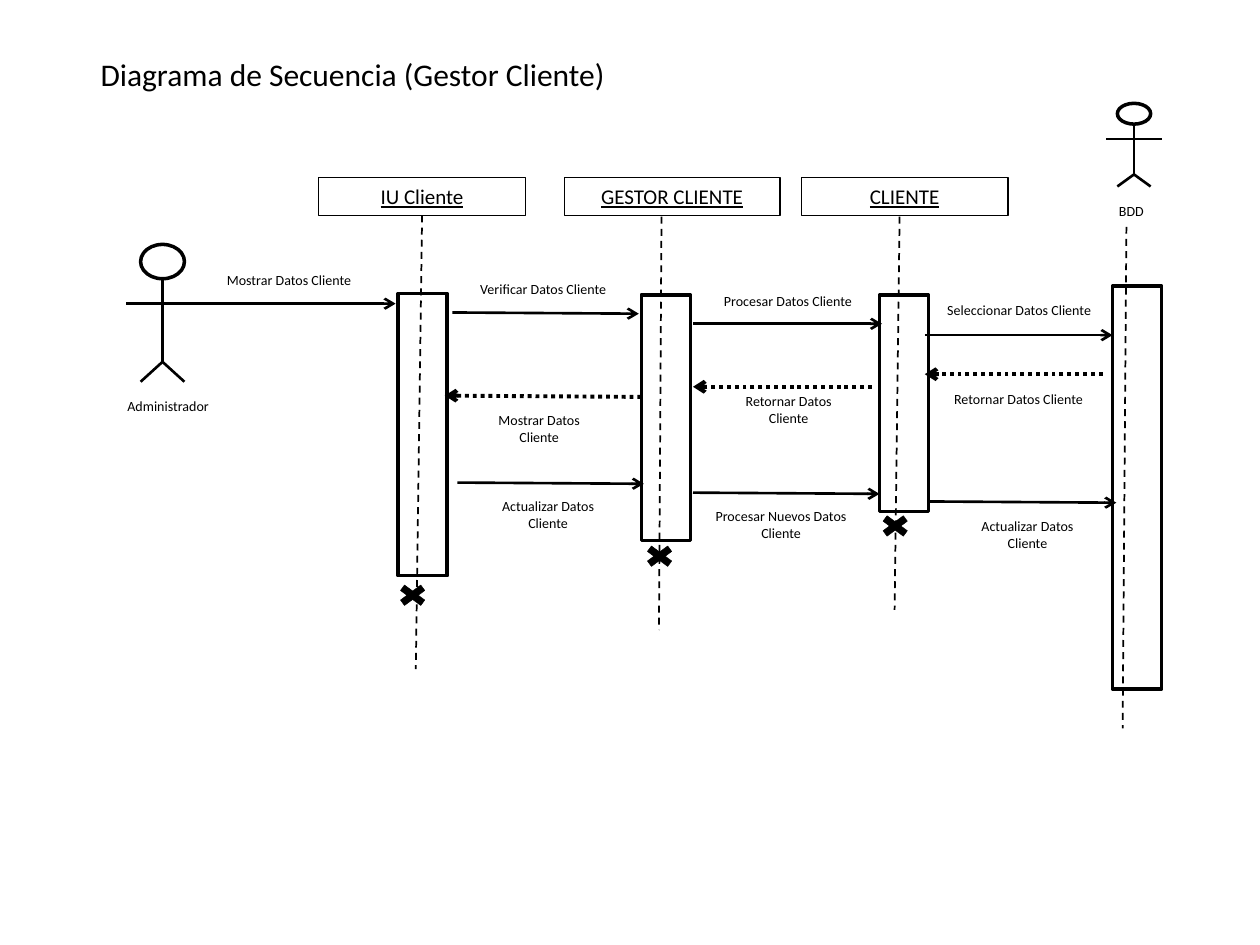
from dataclasses import dataclass
from typing import Optional

from lxml import etree
from pptx import Presentation, util as u
from pptx.dml.color import RGBColor
from pptx.enum import dml, shapes, text
from pptx.oxml.ns import qn

# Grid: one column or row is a tenth of an inch
COLUMNS, ROWS = 100, 75
CELL = u.Inches(0.1)


@dataclass(frozen=True)
class Theme:
    font: str = "Calibri"
    ink: RGBColor = RGBColor(0, 0, 0)
    paper: RGBColor = RGBColor(255, 255, 255)
    title: float = 18
    heading: float = 12
    label: float = 8
    hairline: float = 0.25
    frame: float = 0.75
    lifeline: float = 1
    stroke: float = 1.5
    outline: float = 2
    reply: float = 2.25


THEME = Theme()


@dataclass(frozen=True)
class Area:
    left: float
    top: float
    width: float
    height: float

    def lengths(self) -> tuple:
        return tuple(grid(n) for n in (self.left, self.top, self.width, self.height))


@dataclass(frozen=True)
class Lifeline:
    start: tuple
    end: tuple
    bar: Area
    heading: str = ""
    head: Optional[Area] = None
    cross: Optional[tuple] = None


@dataclass(frozen=True)
class Message:
    label: str
    area: Area
    start: tuple
    end: tuple
    reply: bool = False


@dataclass(frozen=True)
class Actor:
    name: str
    label: Area
    figure: Area


TITLE = Area(7, 3.9, 51.6, 4)
BAR_WIDTH = 3.9
CROSS_SIZE = (3.1, 2.3)
ONE_LINE, TWO_LINES = 2.4, 3.7

LIFELINES = [
    Lifeline((33.5, 17.1), (33, 53.1), Area(31.6, 23.3, BAR_WIDTH, 22.4),
             "IU Cliente", Area(25.3, 14.1, 16.4, 3), (31.2, 46.1)),
    Lifeline((52.5, 17.2), (52.3, 50), Area(50.9, 23.4, BAR_WIDTH, 19.5),
             "GESTOR CLIENTE", Area(44.8, 14.1, 17.1, 3), (50.8, 43)),
    Lifeline((71.4, 17.2), (71, 48.4), Area(69.8, 23.4, BAR_WIDTH, 17.2),
             "CLIENTE", Area(63.6, 14.1, 16.4, 3), (69.5, 40.6)),
    Lifeline((89.4, 18), (89.1, 57.8), Area(88.3, 22.7, BAR_WIDTH, 32)),
]

ACTORS = [
    Actor("Administrador", Area(5.8, 31.1, 15.1, ONE_LINE), Area(10, 19.4, 5.8, 10.9)),
    Actor("BDD", Area(83.6, 15.6, 12.4, ONE_LINE), Area(87.8, 8.2, 4.4, 6.6)),
]

MESSAGES = [
    Message("Mostrar Datos Cliente", Area(14.8, 21.1, 16.3, ONE_LINE), (15.5, 24.1), (31.4, 24.1)),
    Message(" Verificar Datos Cliente", Area(35.2, 21.8, 15.6, ONE_LINE), (35.9, 24.8), (50.7, 24.9)),
    Message("Procesar Datos Cliente", Area(55.5, 22.7, 14.1, ONE_LINE), (55, 25.7), (70, 25.7)),
    Message("Seleccionar Datos Cliente", Area(71.9, 23.4, 18, ONE_LINE), (73.4, 26.6), (88.3, 26.6)),
    Message("Retornar Datos Cliente", Area(74.2, 30.5, 13.3, TWO_LINES), (87.5, 29.7), (73.4, 29.7), True),
    Message("Retornar Datos Cliente", Area(57.3, 30.7, 10.6, TWO_LINES), (69.2, 30.7), (55, 30.7), True),
    Message("Mostrar Datos Cliente", Area(37.5, 32.2, 10.6, TWO_LINES), (50.9, 31.5), (35.3, 31.4), True),
    Message("Actualizar Datos Cliente", Area(37.4, 39, 12.2, TWO_LINES), (36.3, 38.3), (51.1, 38.4)),
    Message("Procesar Nuevos Datos Cliente", Area(54.2, 39.8, 15.6, TWO_LINES), (55, 39.1), (69.8, 39.2)),
    Message("Actualizar Datos Cliente", Area(75.3, 40.6, 12.5, TWO_LINES), (73.8, 39.8), (88.6, 39.9)),
]


def grid(cells: float) -> int:
    return round(cells * CELL)


def write(box, words: str, size: float, align=text.PP_ALIGN.CENTER, underline: bool = False) -> None:
    box.text_frame.text = words
    box.text_frame.word_wrap = True
    para = box.text_frame.paragraphs[0]
    para.alignment = align
    for span in para.runs:
        span.font.name, span.font.size = THEME.font, u.Pt(size)
        span.font.color.rgb = THEME.ink
        if underline:
            span.font.underline = True


def add_label(parts, words: str, area: Area, size: float = THEME.label,
              align=text.PP_ALIGN.CENTER) -> None:
    write(parts.add_textbox(*area.lengths()), words, size, align)


def add_outline(parts, kind, area: Area, weight: float, fill: Optional[RGBColor] = None):
    shape = parts.add_shape(kind, *area.lengths())
    shape.shadow.inherit = False
    shape.line.color.rgb, shape.line.width = THEME.ink, u.Pt(weight)
    if fill is None:
        shape.fill.background()
    else:
        shape.fill.solid()
        shape.fill.fore_color.rgb = fill
    return shape


def add_line(parts, start: tuple, end: tuple, weight: float = THEME.stroke,
             dash=None, arrow: bool = False) -> None:
    line = parts.add_connector(shapes.MSO_CONNECTOR.STRAIGHT, *(grid(n) for n in start + end))
    line.line.color.rgb, line.line.width = THEME.ink, u.Pt(weight)
    if dash is not None:
        line.line.dash_style = dash
    if arrow:
        etree.SubElement(line.line._get_or_add_ln(), qn("a:tailEnd"), type="arrow")
    etree.SubElement(line._element.spPr, qn("a:effectLst"))


def add_lifeline(parts, life: Lifeline) -> None:
    add_line(parts, life.start, life.end, THEME.lifeline, dml.MSO_LINE.DASH)
    add_outline(parts, shapes.MSO_SHAPE.RECTANGLE, life.bar, THEME.outline)
    if life.head:
        box = add_outline(parts, shapes.MSO_SHAPE.RECTANGLE, life.head, THEME.frame)
        write(box, life.heading, THEME.heading, underline=True)
    if life.cross:
        add_outline(parts, shapes.MSO_SHAPE.MATH_MULTIPLY, Area(*life.cross, *CROSS_SIZE),
                    THEME.hairline, THEME.ink)


def add_actor(parts, actor: Actor) -> None:
    """Stick figure whose joints are shares of its frame."""
    frame = actor.figure
    center, right = frame.left + frame.width / 2, frame.left + frame.width
    neck, arms, hip, feet = (frame.top + frame.height * share for share in (0.25, 0.43, 0.855, 1))
    half = frame.width * 0.3
    figure = parts.add_group_shape().shapes
    add_outline(figure, shapes.MSO_SHAPE.OVAL,
                Area(center - half, frame.top, 2 * half, neck - frame.top),
                THEME.outline, THEME.paper)
    add_line(figure, (center, neck), (center, hip))
    for foot in (center - half, center + half):
        add_line(figure, (center, hip), (foot, feet))
    add_line(figure, (frame.left, arms), (right, arms))
    add_label(figure, actor.name, actor.label)


def add_message(parts, message: Message) -> None:
    weight, dash = (THEME.reply, dml.MSO_LINE.ROUND_DOT) if message.reply else (THEME.stroke, None)
    add_line(parts, message.start, message.end, weight, dash, arrow=True)
    add_label(parts, message.label, message.area)


def main() -> None:
    deck = Presentation()
    deck.slide_width, deck.slide_height = grid(COLUMNS), grid(ROWS)
    page = deck.slides.add_slide(deck.slide_layouts[6])
    parts = page.shapes

    # Title
    add_label(parts, "Diagrama de Secuencia (Gestor Cliente)", TITLE, THEME.title, text.PP_ALIGN.LEFT)
    # Participants
    for life in LIFELINES:
        add_lifeline(parts, life)
    for actor in ACTORS:
        add_actor(parts, actor)
    # Calls and replies
    for message in MESSAGES:
        add_message(parts, message)

    deck.save("out.pptx")


if __name__ == "__main__":
    main()
